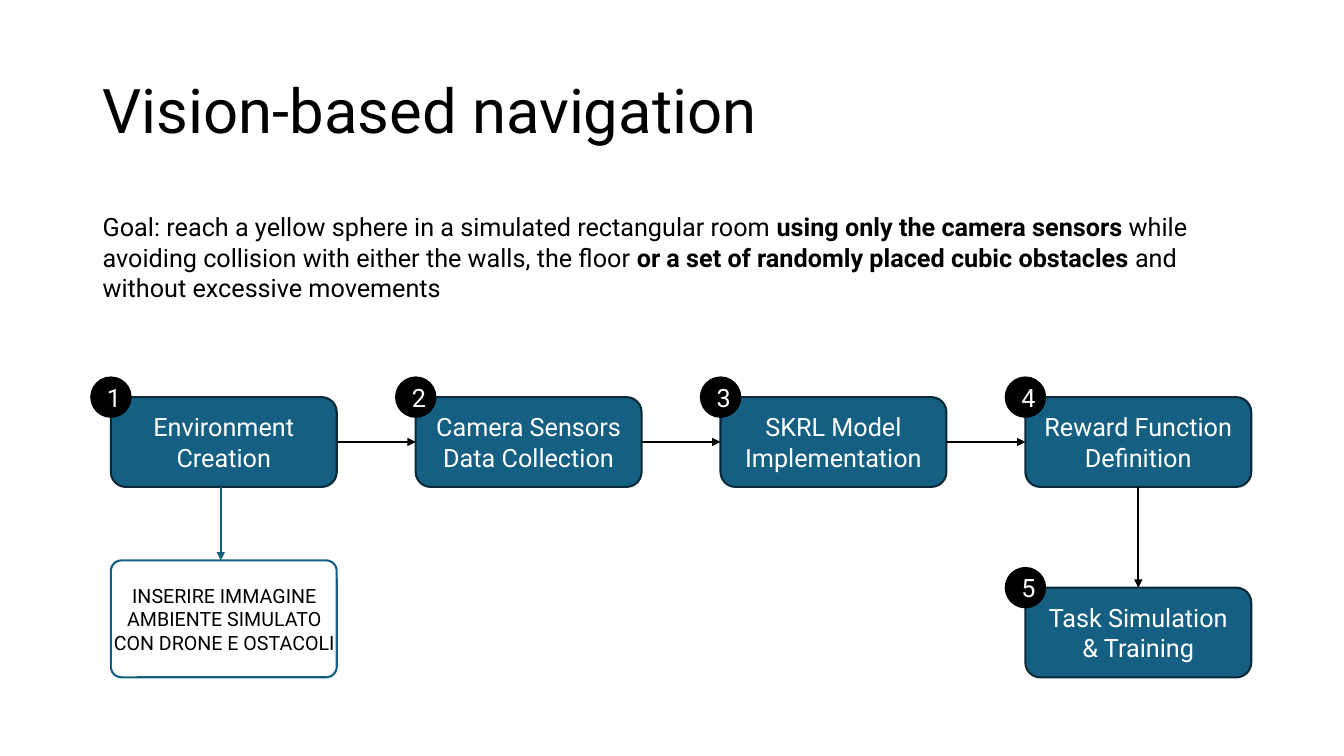
from pptx import Presentation
from pptx.dml.color import RGBColor
from pptx.enum.shapes import MSO_CONNECTOR, MSO_SHAPE
from pptx.enum.text import MSO_ANCHOR, PP_ALIGN
from pptx.oxml.ns import qn
from pptx.util import Inches, Pt
from lxml.etree import SubElement

# Content
TITLE = "Vision-based navigation"
GOAL = [
    ("Goal: reach a yellow sphere in a simulated rectangular room ", False),
    ("using only the camera sensors", True),
    (" while avoiding collision with either the walls, the floor ", False),
    ("or a set of randomly placed cubic obstacles ", True),
    ("and without excessive movements", False),
]
# Each step: text, column, row
STEPS = [
    ("Environment Creation", 0, 0),
    ("Camera Sensors Data Collection", 1, 0),
    ("SKRL Model Implementation", 2, 0),
    ("Reward Function Definition", 3, 0),
    ("Task Simulation & Training", 3, 1),
]
NOTE = ["INSERIRE IMMAGINE", "AMBIENTE SIMULATO", "CON DRONE E OSTACOLI"]

# Style and layout, in inches
FONT = "Roboto"
BLACK = RGBColor(0x00, 0x00, 0x00)
WHITE = RGBColor(0xFF, 0xFF, 0xFF)
TEAL = RGBColor(0x15, 0x60, 0x82)
NAVY = RGBColor(0x09, 0x2A, 0x39)
STEP_W, STEP_H = 2.24, 0.89
LEFT, RIGHT = 1.1, 10.17
ROWS = [3.94, 5.83]
PITCH = (RIGHT - LEFT) / 3
BADGE = 0.39
NOTE_TOP, NOTE_H = 5.56, 1.16

prs = Presentation()
prs.slide_width, prs.slide_height = Inches(13.33), Inches(7.5)
s = prs.slides.add_slide(prs.slide_layouts[6])


def write(sp, paragraphs, size=18, color=BLACK, align=PP_ALIGN.LEFT,
          anchor=MSO_ANCHOR.TOP, spacing=None):
    """Fill a shape with paragraphs, each a list of (text, bold) runs."""
    tf = sp.text_frame
    tf.word_wrap = True
    tf.vertical_anchor = anchor
    for i, runs in enumerate(paragraphs):
        p = tf.add_paragraph() if i else tf.paragraphs[0]
        p.alignment = align
        if spacing:
            p.line_spacing = spacing
        for text, bold in runs:
            r = p.add_run()
            r.text = text
            r.font.name, r.font.size, r.font.bold = FONT, Pt(size), bold
            r.font.color.rgb = color


def textbox(x, y, w, h, paragraphs, **fmt):
    write(s.shapes.add_textbox(Inches(x), Inches(y), Inches(w), Inches(h)),
          paragraphs, **fmt)


def shape(kind, x, y, w, h, fill, line, text=None):
    sp = s.shapes.add_shape(kind, Inches(x), Inches(y), Inches(w), Inches(h))
    sp.shadow.inherit = False
    sp.fill.solid()
    sp.fill.fore_color.rgb = fill
    sp.line.color.rgb = line
    sp.line.width = Pt(1.5)
    if text:
        write(sp, [[(text, False)]], color=WHITE, align=PP_ALIGN.CENTER,
              anchor=MSO_ANCHOR.MIDDLE)
    return sp


def arrow(x1, y1, x2, y2, color=BLACK):
    c = s.shapes.add_connector(MSO_CONNECTOR.STRAIGHT, Inches(x1), Inches(y1),
                               Inches(x2), Inches(y2))
    c.line.color.rgb = color
    c.line.width = Pt(1.5)
    SubElement(c.line._get_or_add_ln(), qn("a:tailEnd"), type="triangle")
    SubElement(c._element.spPr, qn("a:effectLst"))


# Title and goal
textbox(0.92, 0.4, 11.5, 1.45, [[(TITLE, False)]], size=44,
        anchor=MSO_ANCHOR.MIDDLE, spacing=0.9)
textbox(0.92, 2.05, 11.62, 1.01, [GOAL])

# Numbered steps, each badge centred on its step's top left corner
for number, (text, col, row) in enumerate(STEPS, 1):
    x, y = LEFT + col * PITCH, ROWS[row]
    shape(MSO_SHAPE.ROUNDED_RECTANGLE, x, y, STEP_W, STEP_H, TEAL, NAVY, text)
    shape(MSO_SHAPE.OVAL, x - BADGE / 2, y - BADGE / 2, BADGE, BADGE,
          BLACK, BLACK, str(number))

# Arrows between steps
for col in range(3):
    x, y = LEFT + col * PITCH, ROWS[0] + STEP_H / 2
    arrow(x + STEP_W, y, x + PITCH, y)
arrow(RIGHT + STEP_W / 2, ROWS[0] + STEP_H, RIGHT + STEP_W / 2, ROWS[1])

# Note under the first step
frame = shape(MSO_SHAPE.ROUNDED_RECTANGLE, LEFT, NOTE_TOP, STEP_W, NOTE_H,
              WHITE, TEAL)
frame.adjustments[0] = 0.09
textbox(1, 5.74, 2.45, 0.81, [[(line, False)] for line in NOTE], size=14,
        align=PP_ALIGN.CENTER)
arrow(2.19, ROWS[0] + STEP_H, 2.19, NOTE_TOP, color=TEAL)

prs.save("out.pptx")
